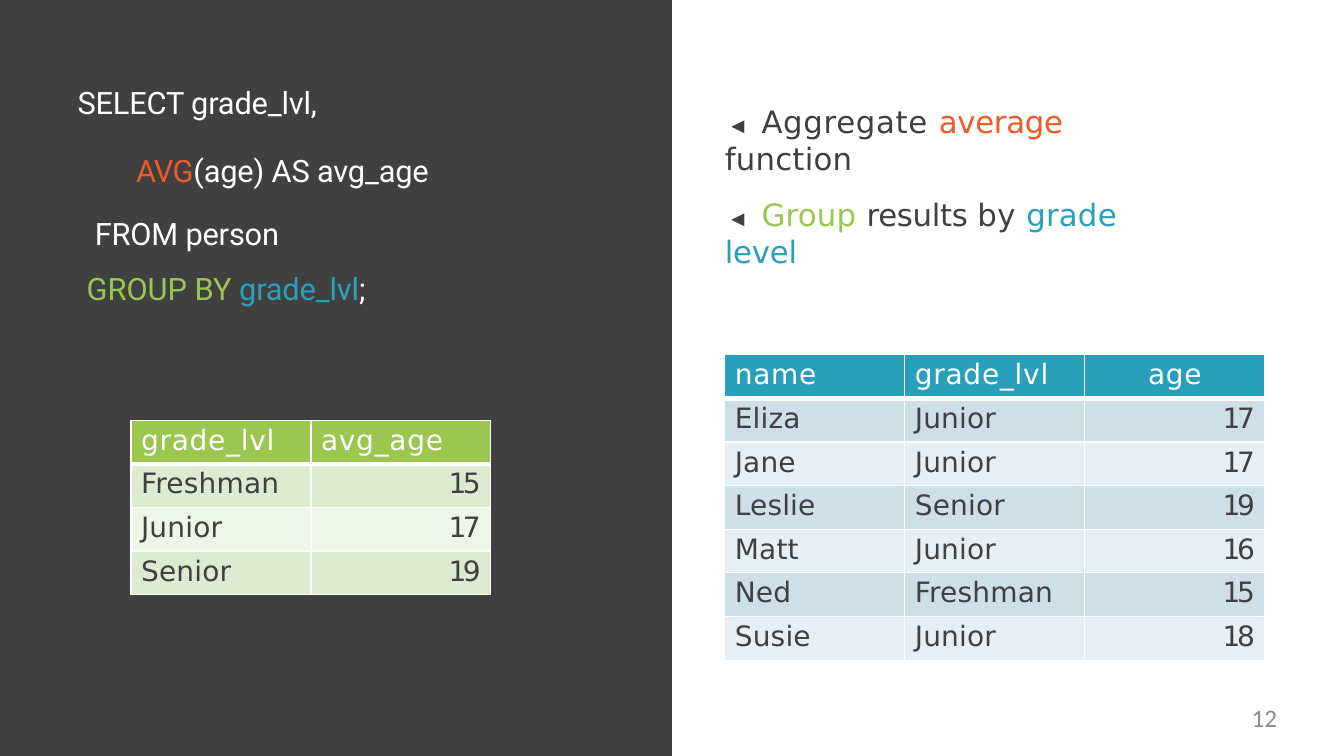
from lxml import etree
from pptx import Presentation
from pptx.dml.color import RGBColor
from pptx.enum.shapes import MSO_SHAPE
from pptx.enum.text import PP_ALIGN
from pptx.oxml.ns import qn
from pptx.util import Inches, Pt

COLS, ROWS = 80, 45
WIDTH, HEIGHT = Inches(13.33), Inches(7.5)
WHITE, DARK, GREY = "FFFFFF", "404040", "8C8C8C"
ORANGE, GREEN, BLUE = "EF5A28", "9BC750", "2A9FBB"
SANS, CODE, MONO = "DejaVu Sans", "Roboto", "Noto Sans Mono"
CELL_PAD = Inches(0.1)


def color(value):
    return RGBColor.from_string(value)


def grid(left, top, width, height):
    """Turn grid columns and rows into slide lengths."""
    col, row = WIDTH / COLS, HEIGHT / ROWS
    return int(left * col), int(top * row), int(width * col), int(height * row)


def add_run(p, text, rgb, size=22, font=SANS, spacing=0):
    r = p.add_run()
    r.text = text
    r.font.size = Pt(size)
    r.font.name = font
    r.font.color.rgb = color(rgb)
    if spacing:
        r._r.get_or_add_rPr().set("spc", str(round(spacing * 100)))


def set_indent(p, left, first=0):
    pPr = p._p.get_or_add_pPr()
    pPr.set("marL", str(Inches(left)))
    pPr.set("indent", str(Inches(first)))


def add_text(s, place, top_inset=0):
    tf = s.shapes.add_textbox(*grid(*place)).text_frame
    tf.word_wrap = True
    tf.margin_left = tf.margin_right = tf.margin_bottom = 0
    tf.margin_top = Inches(top_inset)
    return tf


def next_paragraph(tf):
    first = tf.paragraphs[0]
    return tf.add_paragraph() if first.runs else first


def add_panel(s, place, fill):
    panel = s.shapes.add_shape(MSO_SHAPE.RECTANGLE, *grid(*place))
    panel.shadow.inherit = False
    panel.fill.solid()
    panel.fill.fore_color.rgb = color(fill)
    panel.line.fill.background()


def add_query(s, place):
    lines = [
        (0.01, 0, 0, None, [("SELECT grade_lvl,", WHITE, -0.1)]),
        (0.18, 0.41, 4.5, 44.4, [("AVG", ORANGE, -0.6), ("(age) AS avg_age", WHITE, -0.1)]),
        (0.18, 0, 0, 44.4, [("FROM person", WHITE, -0.1)]),
        (0.1, 0, 13.5, None, [("GROUP BY ", GREEN, 0), ("grade_lvl", BLUE, -0.1), (";", WHITE, -0.1)]),
    ]
    tf = add_text(s, place, 0.01)
    for left, first, before, leading, runs in lines:
        p = next_paragraph(tf)
        set_indent(p, left, first)
        p.space_before = Pt(before)
        if leading:
            p.line_spacing = Pt(leading)
        for text, rgb, spacing in runs:
            add_run(p, text, rgb, font=CODE, spacing=spacing)


def add_notes_list(s, place):
    points = [
        [("Aggregate ", DARK, 0.5), ("average ", ORANGE, -0.2), ("function", DARK, 0.2)],
        [("Group ", GREEN, 0.2), ("results ", DARK, -0.2), ("by ", DARK, 0.3),
         ("grade ", BLUE, 0.2), ("level", BLUE, -0.1)],
    ]
    tf = add_text(s, place, 0.2)
    for i, runs in enumerate(points):
        p = next_paragraph(tf)
        set_indent(p, 0.01)
        p.space_before = Pt(13.6 if i else 0)
        add_run(p, "◀ ", DARK, 15.5, MONO, -1.6)
        for text, rgb, spacing in runs:
            add_run(p, text, rgb, spacing=spacing)


def set_borders(cell, widths):
    """Draw white borders; widths maps a side's tag to points."""
    tcPr = cell._tc.get_or_add_tcPr()
    for i, (side, width) in enumerate(widths.items()):
        ln = etree.Element(qn("a:" + side), w=str(Pt(width)))
        fill = etree.SubElement(ln, qn("a:solidFill"))
        etree.SubElement(fill, qn("a:srgbClr"), val=WHITE)
        tcPr.insert(i, ln)


def fill_cell(cell, text, rgb, fill, align):
    cell.fill.solid()
    cell.fill.fore_color.rgb = color(fill)
    cell.margin_left = CELL_PAD if align == PP_ALIGN.LEFT else 0
    cell.margin_right = CELL_PAD if align == PP_ALIGN.RIGHT else 0
    cell.margin_top, cell.margin_bottom = Inches(0.04), 0
    p = cell.text_frame.paragraphs[0]
    p.alignment = align
    spacing = -2.5 if text.isdigit() else 0.5 if rgb == WHITE else 0.1
    add_run(p, text, rgb, 20, spacing=spacing)


def add_data_table(s, place, rows, head_fill, bands, rule, head_align):
    """rule is the width under the header; head_align is for the last column."""
    left, top, width, height = grid(*place)
    n_cols = len(rows[0])
    table = s.shapes.add_table(len(rows), n_cols, left, top, width, height).table
    for column in table.columns:
        column.width = width // n_cols
    for i, row in enumerate(rows):
        table.rows[i].height = height // len(rows)
        for j, text in enumerate(row):
            align = PP_ALIGN.LEFT
            if j == n_cols - 1:
                align = PP_ALIGN.RIGHT if i else head_align
            cell = table.cell(i, j)
            fill = bands[(i - 1) % 2] if i else head_fill
            fill_cell(cell, text, DARK if i else WHITE, fill, align)
            set_borders(cell, {"lnL": 1, "lnR": 1, "lnT": rule if i == 1 else 1,
                               "lnB": 1 if i else rule})


def add_page_number(s, place, number):
    p = add_text(s, place).paragraphs[0]
    p.alignment = PP_ALIGN.RIGHT
    add_run(p, number, GREY, 18, "Calibri")


def main():
    prs = Presentation()
    prs.slide_width, prs.slide_height = WIDTH, HEIGHT
    s = prs.slides.add_slide(prs.slide_layouts[6])
    people = [
        ("name", "grade_lvl", "age"),
        ("Eliza", "Junior", "17"),
        ("Jane", "Junior", "17"),
        ("Leslie", "Senior", "19"),
        ("Matt", "Junior", "16"),
        ("Ned", "Freshman", "15"),
        ("Susie", "Junior", "18"),
    ]
    averages = [
        ("grade_lvl", "avg_age"),
        ("Freshman", "15"),
        ("Junior", "17"),
        ("Senior", "19"),
    ]
    add_panel(s, (0, 0, COLS / 2, ROWS), DARK)
    add_query(s, (4.56, 4.92, 22.08, 13.5))
    add_notes_list(s, (43.08, 4.92, 27.96, 6.84))
    add_data_table(s, (43.14, 21.12, 32.16, 18.18), people, BLUE,
                   ("CDDFE7", "E8EFF4"), 4.25, PP_ALIGN.CENTER)
    add_data_table(s, (7.8, 25.02, 21.42, 10.38), averages, GREEN,
                   ("DEEBD0", "EEF5E9"), 3, PP_ALIGN.LEFT)
    add_page_number(s, (57.6, 41.82, 18.42, 2.28), "12")
    prs.save("out.pptx")


if __name__ == "__main__":
    main()
